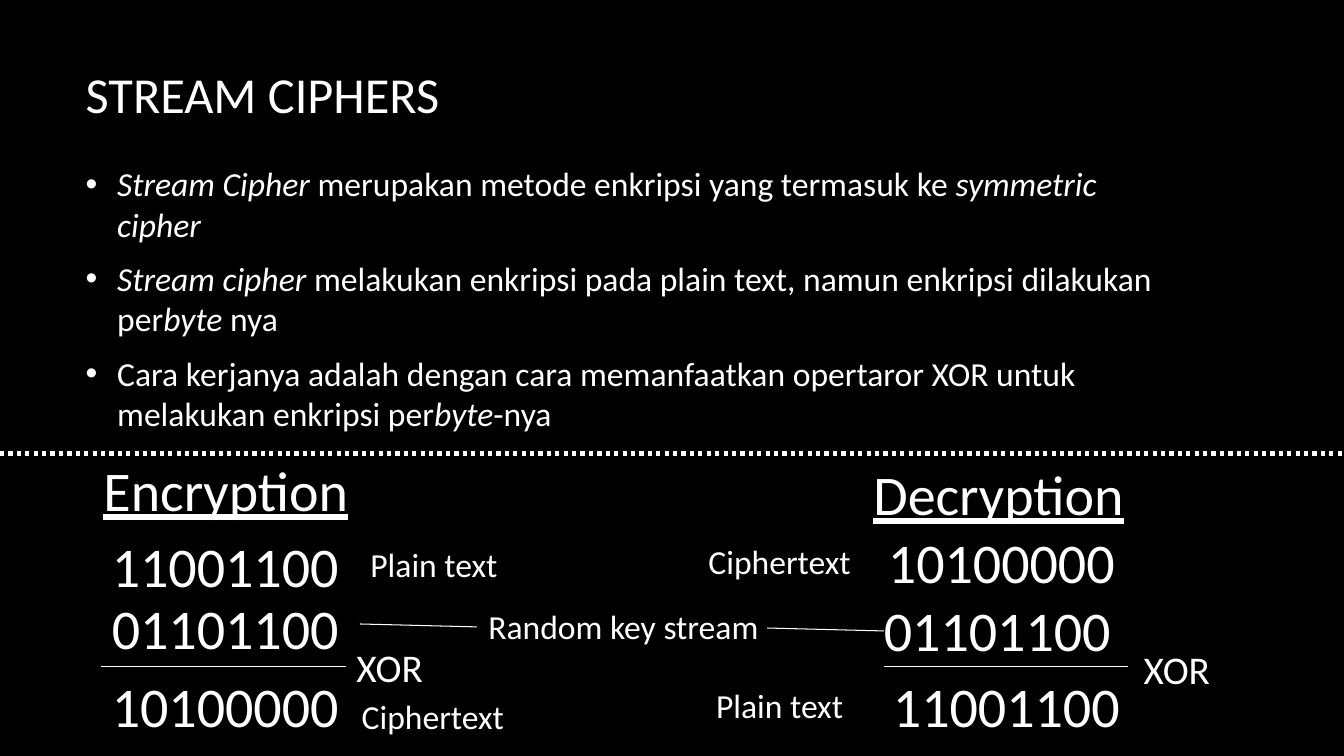
from lxml.etree import SubElement
from pptx import Presentation
from pptx.dml.color import RGBColor
from pptx.enum.dml import MSO_LINE
from pptx.enum.shapes import MSO_CONNECTOR
from pptx.enum.text import MSO_ANCHOR, MSO_AUTO_SIZE, PP_ALIGN
from pptx.oxml.ns import qn
from pptx.util import Pt

COLORS = {"background": "000000", "ink": "FFFFFF"}
FONT = "Calibri"
SLIDE_WIDTH, SLIDE_HEIGHT = 960, 540
MARGIN, CONTENT_WIDTH = 54, 798
BULLET_INDENT = 22.5

TITLE = "STREAM CIPHERS"
# Each bullet is a list of (text, italic)
BULLETS = [
    [("Stream Cipher ", True), ("merupakan metode enkripsi yang termasuk ke ", False),
     ("symmetric cipher", True)],
    [("Stream cipher", True),
     (" melakukan enkripsi pada plain text, namun enkripsi dilakukan per", False),
     ("byte", True), (" nya", False)],
    [("Cara kerjanya adalah dengan cara memanfaatkan opertaror XOR untuk "
      "melakukan enkripsi per", False), ("byte", True), ("-nya", False)],
]
# (text, centre x, top)
HEADINGS = [("Encryption", 161.3, 321.8), ("Decryption", 713.2, 324.7)]
BYTES = [
    ("11001100", 160.9, 375.8), ("01101100", 160.9, 420.5), ("10100000", 160.9, 475.9),
    ("10100000", 715.3, 373), ("01101100", 712.4, 421.9), ("11001100", 718.9, 475.9),
]
OPERATORS = [("XOR", 278.3, 455.8), ("XOR", 840.6, 457.2)]
NOTES = [
    ("Plain text", 310, 385.2), ("Ciphertext", 309.2, 493.2),
    ("Random key stream", 445.3, 429.1),
    ("Ciphertext", 556.9, 383), ("Plain text", 556.9, 486),
]
# (labels, text size, underline)
LABEL_GROUPS = [(HEADINGS, 40, True), (BYTES, 40, False),
                (OPERATORS, 28, False), (NOTES, 24, False)]
BOX_WIDTHS = {"Encryption": 191.5, "Decryption": 195, "XOR": 62.6, "Plain text": 105.8,
              "Ciphertext": 117.4, "Random key stream": 209.5}
BYTE_WIDTH = 177.8
# (x1, y1, x2, y2)
SUM_LINES = [(247, 475.9, 72, 475.9), (805.7, 475.9, 631.4, 475.9)]
KEY_LINES = [(340.6, 447.8, 257, 445.7), (631.4, 450.7, 547.9, 448.6)]
DIVIDER = (0, 324, SLIDE_WIDTH, 324)


def rgb(name):
    return RGBColor.from_string(COLORS[name])


def add_text(paragraph, text, size=24, italic=False, underline=False):
    run = paragraph.add_run()
    run.text = text
    font = run.font
    font.name, font.size = FONT, Pt(size)
    font.italic, font.underline = italic, underline
    font.color.rgb = rgb("ink")


def place(shape, left, top, width, height):
    shape.left, shape.top = Pt(left), Pt(top)
    shape.width, shape.height = Pt(width), Pt(height)
    frame = shape.text_frame
    frame.auto_size = MSO_AUTO_SIZE.NONE
    frame.vertical_anchor = MSO_ANCHOR.MIDDLE
    return frame


def add_bullet(paragraph):
    properties = paragraph._p.get_or_add_pPr()
    properties.set("marL", str(Pt(BULLET_INDENT)))
    properties.set("indent", str(-Pt(BULLET_INDENT)))
    color = SubElement(properties, qn("a:buClr"))
    SubElement(color, qn("a:srgbClr"), val=COLORS["ink"])
    SubElement(properties, qn("a:buFont"), typeface="Arial")
    SubElement(properties, qn("a:buChar"), char="•")
    paragraph.space_before, paragraph.space_after = Pt(0), Pt(10)


def add_label(slide, text, center, top, size, underline):
    width = BOX_WIDTHS.get(text, BYTE_WIDTH)
    height = size * 1.22 + 7.2
    box = slide.shapes.add_textbox(Pt(center - width / 2), Pt(top), Pt(width), Pt(height))
    frame = box.text_frame
    frame.word_wrap = False
    frame.auto_size = MSO_AUTO_SIZE.SHAPE_TO_FIT_TEXT
    paragraph = frame.paragraphs[0]
    paragraph.alignment = PP_ALIGN.CENTER
    add_text(paragraph, text, size=size, underline=underline)


def add_line(slide, ends, width=0.75, dash=None):
    line = slide.shapes.add_connector(MSO_CONNECTOR.STRAIGHT, *map(Pt, ends))
    line.line.color.rgb = rgb("ink")
    line.line.width = Pt(width)
    if dash:
        line.line.dash_style = dash
    SubElement(line._element.spPr, qn("a:effectLst"))


def main():
    presentation = Presentation()
    presentation.slide_width, presentation.slide_height = Pt(SLIDE_WIDTH), Pt(SLIDE_HEIGHT)
    slide = presentation.slides.add_slide(presentation.slide_layouts[1])
    slide.background.fill.solid()
    slide.background.fill.fore_color.rgb = rgb("background")

    title = place(slide.shapes.title, MARGIN, 9.4, CONTENT_WIDTH, 114.5).paragraphs[0]
    title.alignment = PP_ALIGN.LEFT
    add_text(title, TITLE, size=36)

    body = place(slide.placeholders[1], MARGIN, 123.8, CONTENT_WIDTH, 178.6)
    for index, pieces in enumerate(BULLETS):
        paragraph = body.add_paragraph() if index else body.paragraphs[0]
        add_bullet(paragraph)
        for text, italic in pieces:
            add_text(paragraph, text, italic=italic)

    add_line(slide, DIVIDER, width=3, dash=MSO_LINE.ROUND_DOT)
    for ends in SUM_LINES + KEY_LINES:
        add_line(slide, ends)
    for labels, size, underline in LABEL_GROUPS:
        for text, center, top in labels:
            add_label(slide, text, center, top, size, underline)

    presentation.save("out.pptx")


if __name__ == "__main__":
    main()
